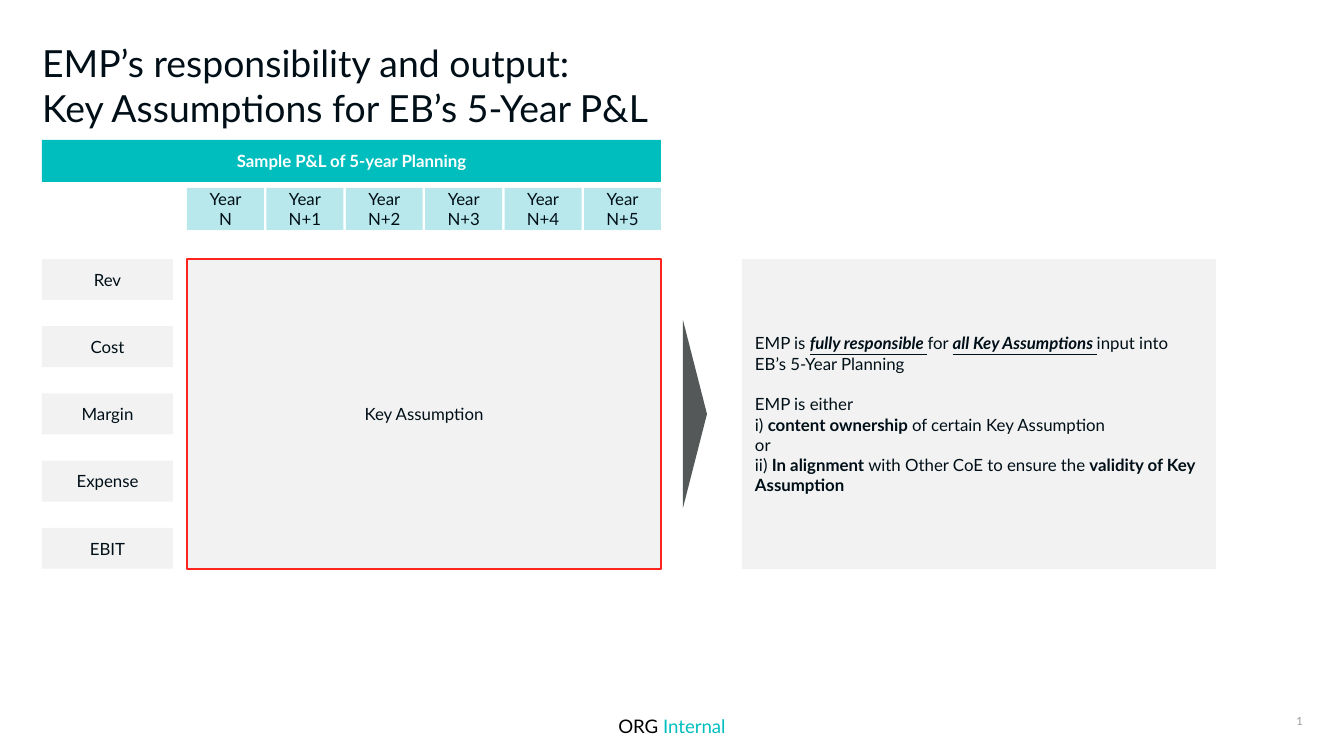
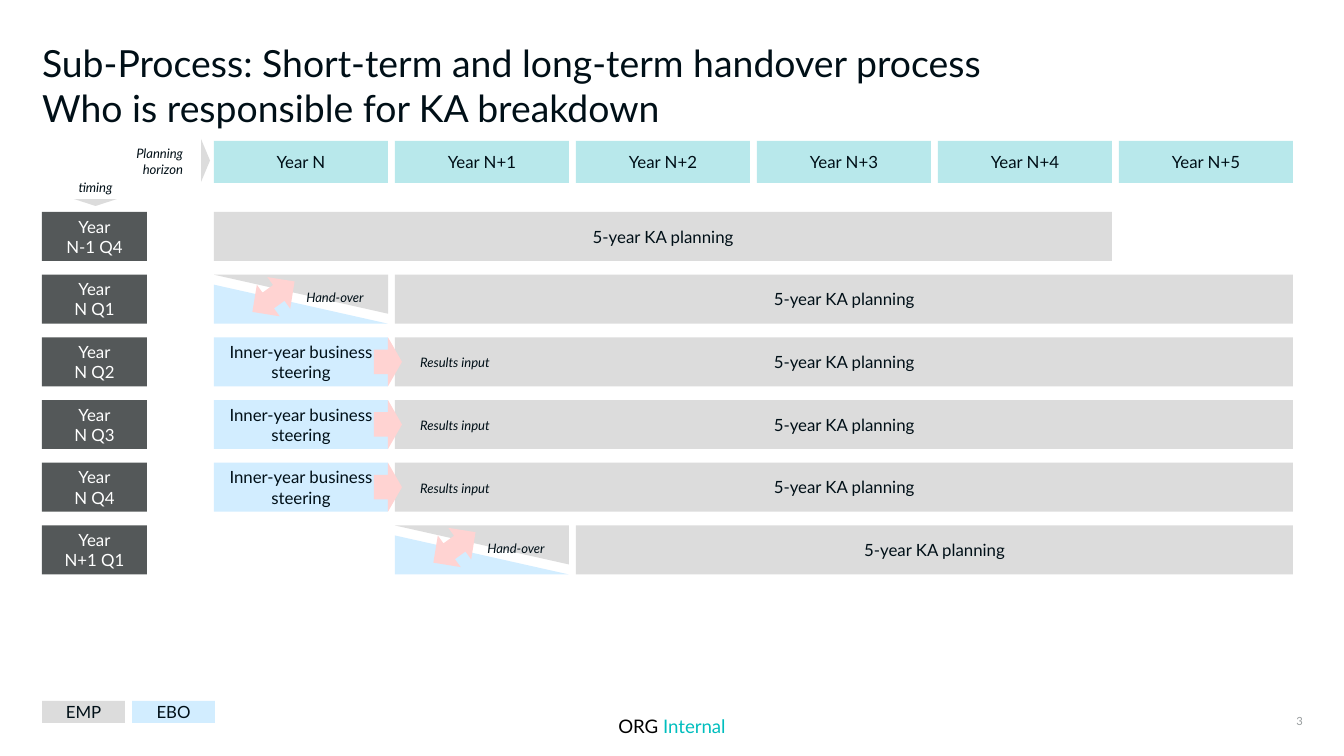
from pptx import Presentation
from pptx.dml.color import RGBColor
from pptx.enum.shapes import MSO_SHAPE as SHAPE
from pptx.enum.text import MSO_ANCHOR as ANCHOR, MSO_AUTO_SIZE as AUTO_SIZE, PP_ALIGN as ALIGN
from pptx.util import Emu, Pt

PIXEL = 914400 / 134.4
WIDTH, HEIGHT = 1344, 756
LEFT = 42
FONT = "Lato"

INK, WHITE, BLACK = "000F17", "FFFFFF", "000000"
TEAL, PALE_TEAL = "00BEBE", "B8E8EB"
PALE_GREY, GREY, DARK_GREY, NUMBER_GREY = "F2F2F2", "DCDCDC", "545859", "979C9D"
PALE_BLUE, PINK, RED = "D2EDFF", "FFD3D2", "FF231E"

BOLD = {"bold": True}
STRESS = {"bold": True, "italic": True, "underline": True}
SMALL = {"size": Pt(7), "italic": True}


def write(shape, content, align=ALIGN.CENTER, anchor=ANCHOR.MIDDLE,
          inset=(13, 7), color=INK, **formats):
    """Fill a shape with lines of text, or with paragraphs of (text, formats) runs."""
    frame = shape.text_frame
    frame.word_wrap = True
    frame.auto_size = AUTO_SIZE.NONE
    frame.vertical_anchor = anchor
    side, edge = (Emu(round(value * PIXEL)) for value in inset)
    frame.margin_left = frame.margin_right = side
    frame.margin_top = frame.margin_bottom = edge
    if isinstance(content, str):
        content = [[(line, {})] for line in content.split("\n")]
    for index, runs in enumerate(content):
        paragraph = frame.add_paragraph() if index else frame.paragraphs[0]
        paragraph.alignment = align
        for text, own_formats in runs:
            run = paragraph.add_run()
            run.text = text
            settings = {"name": FONT, "size": Pt(9), **formats, **own_formats}
            run_color = settings.pop("color", color)
            for name, value in settings.items():
                setattr(run.font, name, value)
            run.font.color.rgb = RGBColor.from_string(run_color)


def add_box(slide, bounds, content="", fill=None, kind=SHAPE.RECTANGLE,
            rotation=0, line=None, **text_options):
    """Add a filled preset shape, or a text box if there is no fill."""
    place = [Emu(round(value * PIXEL)) for value in bounds]
    if fill:
        shape = slide.shapes.add_shape(kind, *place)
        shape.shadow.inherit = False
        shape.rotation = rotation
        shape.fill.solid()
        shape.fill.fore_color.rgb = RGBColor.from_string(fill)
        if line:
            shape.line.color.rgb = RGBColor.from_string(line)
            shape.line.width = Pt(1)
        else:
            shape.line.fill.background()
    else:
        shape = slide.shapes.add_textbox(*place)
    if content:
        write(shape, content, **text_options)
    return shape


presentation = Presentation()
presentation.slide_width = Emu(round(WIDTH * PIXEL))
presentation.slide_height = Emu(round(HEIGHT * PIXEL))
title_only = presentation.slide_layouts[5]

# Shared title, footer and page number
headings = [
    ("1", "EMP’s responsibility and output:\nKey Assumptions for EB’s 5-Year P&L"),
    ("3", "Sub-Process: Short-term and long-term handover process\n"
          "Who is responsible for KA breakdown"),
]
for number, heading in headings:
    slide = presentation.slides.add_slide(title_only)
    title = slide.shapes.title
    title_place = {"left": LEFT, "top": 40, "width": 1259, "height": 73}
    for name, value in title_place.items():
        setattr(title, name, Emu(round(value * PIXEL)))
    write(title, heading, align=ALIGN.LEFT, anchor=ANCHOR.TOP, inset=(0, 0), size=Pt(20))
    add_box(slide, (19, 715, 1306, 23),
            [[("ORG ", {"color": BLACK}), ("Internal", {"color": TEAL})]],
            inset=(0, 0), size=Pt(10))
    add_box(slide, (1257, 715, 46, 13), number, align=ALIGN.RIGHT,
            inset=(0, 0), color=NUMBER_GREY, size=Pt(6))

assumptions_slide, handover_slide = presentation.slides
years = ["N", "N+1", "N+2", "N+3", "N+4", "N+5"]

# Slide 1: sample P&L on the left
slide = assumptions_slide
add_box(slide, (LEFT, 140, 619, 42), "Sample P&L of 5-year Planning", TEAL,
        color=WHITE, bold=True)
for index, year in enumerate(years):
    add_box(slide, (187 + 79.4 * index, 188, 77, 42), f"Year\n{year}", PALE_TEAL)
for index, item in enumerate(["Rev", "Cost", "Margin", "Expense", "EBIT"]):
    add_box(slide, (LEFT, 259 + 67.2 * index, 131, 41), item, PALE_GREY)
add_box(slide, (187, 259, 474, 310), "Key Assumption", PALE_GREY, line=RED)

# Slide 1: pointer and explanation on the right
add_box(slide, (601, 402, 188, 24), fill=DARK_GREY,
        kind=SHAPE.ISOSCELES_TRIANGLE, rotation=90)
explanation = [
    [("EMP is ", {}), ("fully responsible ", STRESS), ("for ", {}),
     ("all Key Assumptions ", STRESS), ("input into EB’s 5-Year Planning", {})],
    [("EMP is either", {})],
    [("i) ", {}), ("content ownership ", BOLD), ("of certain Key Assumption", {})],
    [("or", {})],
    [("ii) ", {}), ("In alignment ", BOLD), ("with Other CoE to ensure the ", {}),
     ("validity of Key Assumption", BOLD)],
]
panel = add_box(slide, (742, 259, 474, 310), explanation, PALE_GREY, align=ALIGN.LEFT)
panel.text_frame.paragraphs[1].space_before = Pt(11)

# Slide 2: legend and column heads
slide = handover_slide
COLUMN_LEFT, COLUMN_STEP, COLUMN_GAP = 214, 181, 7
COLUMN_WIDTH = COLUMN_STEP - COLUMN_GAP
ROW_TOP, ROW_STEP, ROW_HEIGHT = 212, 62.7, 49

for index, (owner, fill) in enumerate([("EMP", GREY), ("EBO", PALE_BLUE)]):
    add_box(slide, (LEFT + 90 * index, 701, 83, 22), owner, fill, inset=(13, 0))
for index, year in enumerate(years):
    add_box(slide, (COLUMN_LEFT + COLUMN_STEP * index, 141, COLUMN_WIDTH, 42),
            f"Year {year}", PALE_TEAL)

# Slide 2: axis labels with their pointers
add_box(slide, (105, 145, 91, 32), "Planning horizon", align=ALIGN.RIGHT, **SMALL)
add_box(slide, (184, 156, 43, 9), fill=GREY, kind=SHAPE.ISOSCELES_TRIANGLE, rotation=90)
add_box(slide, (59, 180, 73, 15), "timing", inset=(13, 0), **SMALL)
add_box(slide, (74, 199, 43, 7), fill=GREY, kind=SHAPE.ISOSCELES_TRIANGLE, rotation=180)

# Slide 2: one row per planning time: first column, columns spanned, step before it
rows = [
    ("N-1 Q4", 0, 5, None),
    ("N Q1", 1, 5, "hand-over"),
    ("N Q2", 1, 5, "steering"),
    ("N Q3", 1, 5, "steering"),
    ("N Q4", 1, 5, "steering"),
    ("N+1 Q1", 2, 4, "hand-over"),
]
for index, (quarter, first, span, step) in enumerate(rows):
    top = ROW_TOP + ROW_STEP * index
    bar_left = COLUMN_LEFT + COLUMN_STEP * first
    step_left = bar_left - COLUMN_STEP
    add_box(slide, (LEFT, top, 105, ROW_HEIGHT), f"Year\n{quarter}", DARK_GREY, color=WHITE)
    add_box(slide, (bar_left, top, COLUMN_STEP * span - COLUMN_GAP, ROW_HEIGHT),
            "5-year KA planning", GREY)
    if step == "steering":
        add_box(slide, (step_left, top, COLUMN_WIDTH, ROW_HEIGHT),
                "Inner-year business steering", PALE_BLUE)
        add_box(slide, (bar_left - 21, top, 28, ROW_HEIGHT), fill=PINK,
                kind=SHAPE.RIGHT_ARROW)
        add_box(slide, (bar_left + 7, top + 9, 106, 32), "Results input", **SMALL)
    elif step == "hand-over":
        add_box(slide, (step_left, top, COLUMN_WIDTH, 39), fill=GREY,
                kind=SHAPE.RIGHT_TRIANGLE, rotation=180)
        add_box(slide, (step_left, top + 10, COLUMN_WIDTH, 39), fill=PALE_BLUE,
                kind=SHAPE.RIGHT_TRIANGLE)
        add_box(slide, (step_left + 68, top + 7, 106, 32), "Hand-over", **SMALL)
        add_box(slide, (step_left + 40, top - 4, 39, 52), fill=PINK,
                kind=SHAPE.UP_DOWN_ARROW, rotation=54.1)

presentation.save("out.pptx")
